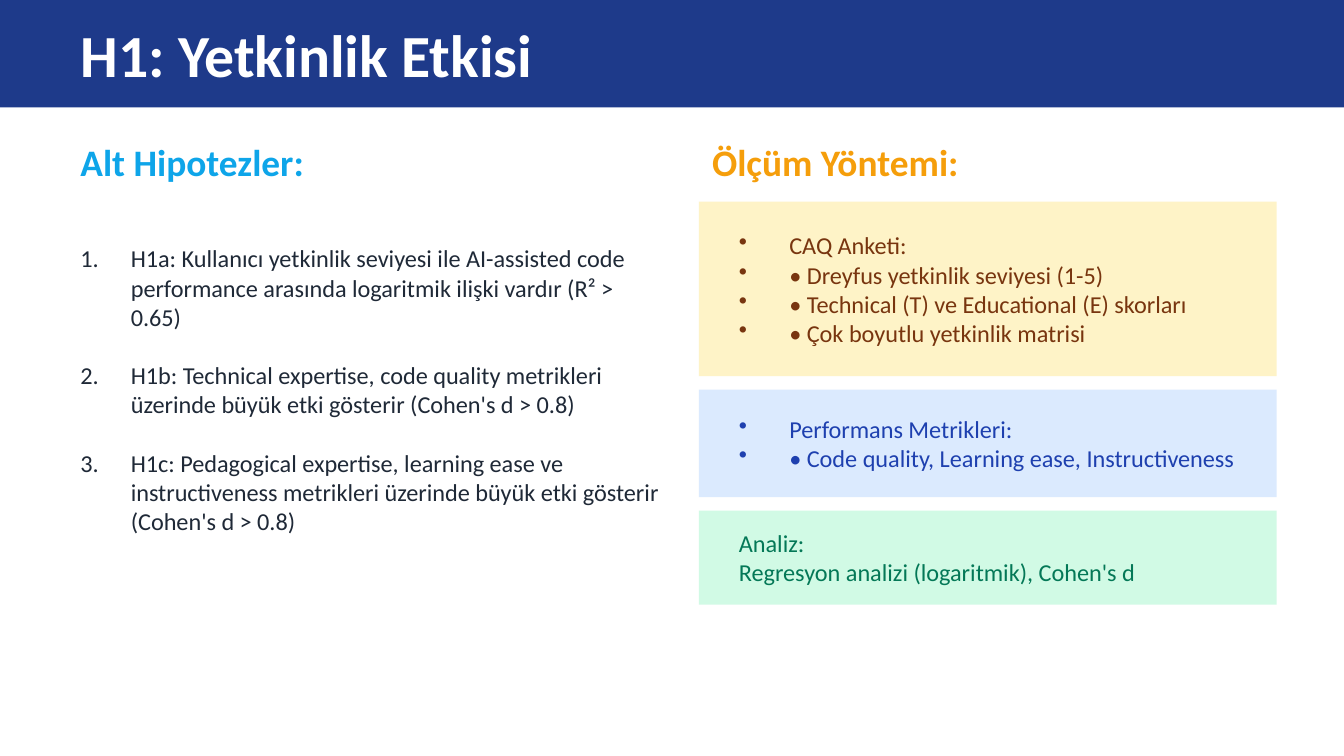
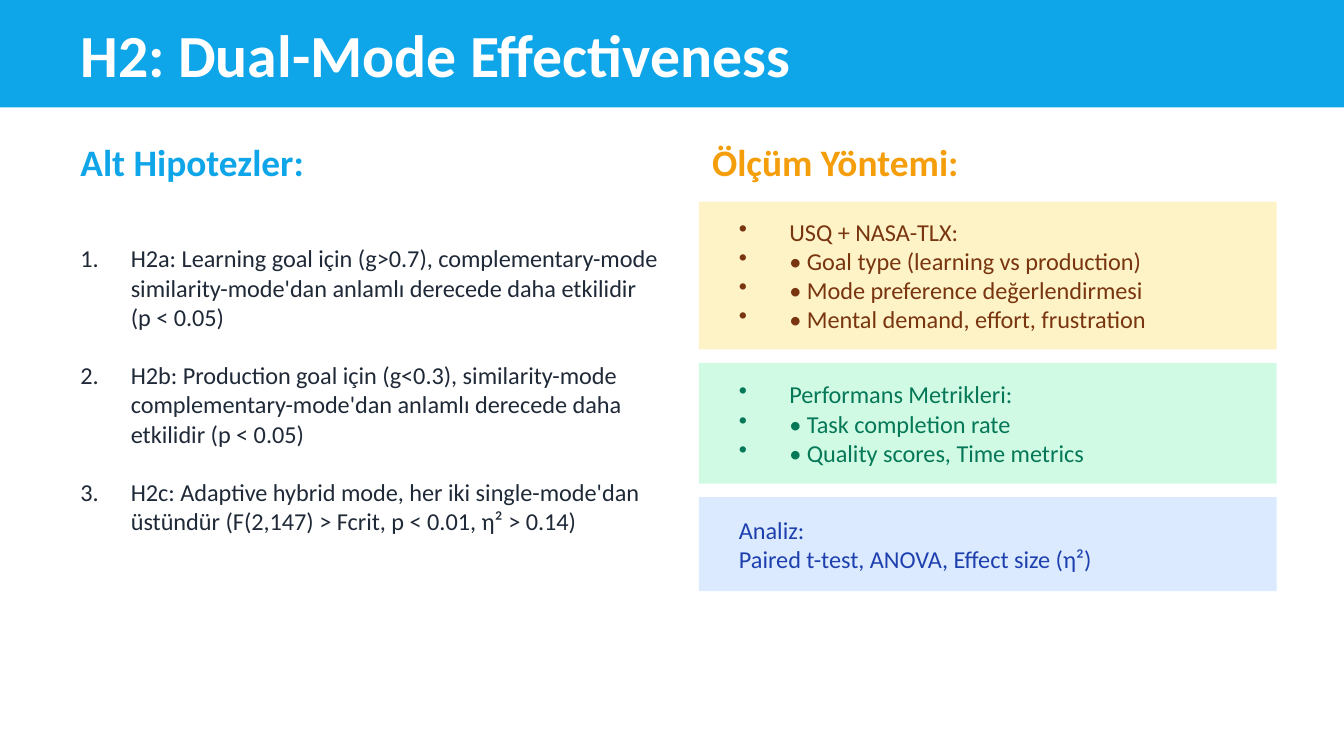
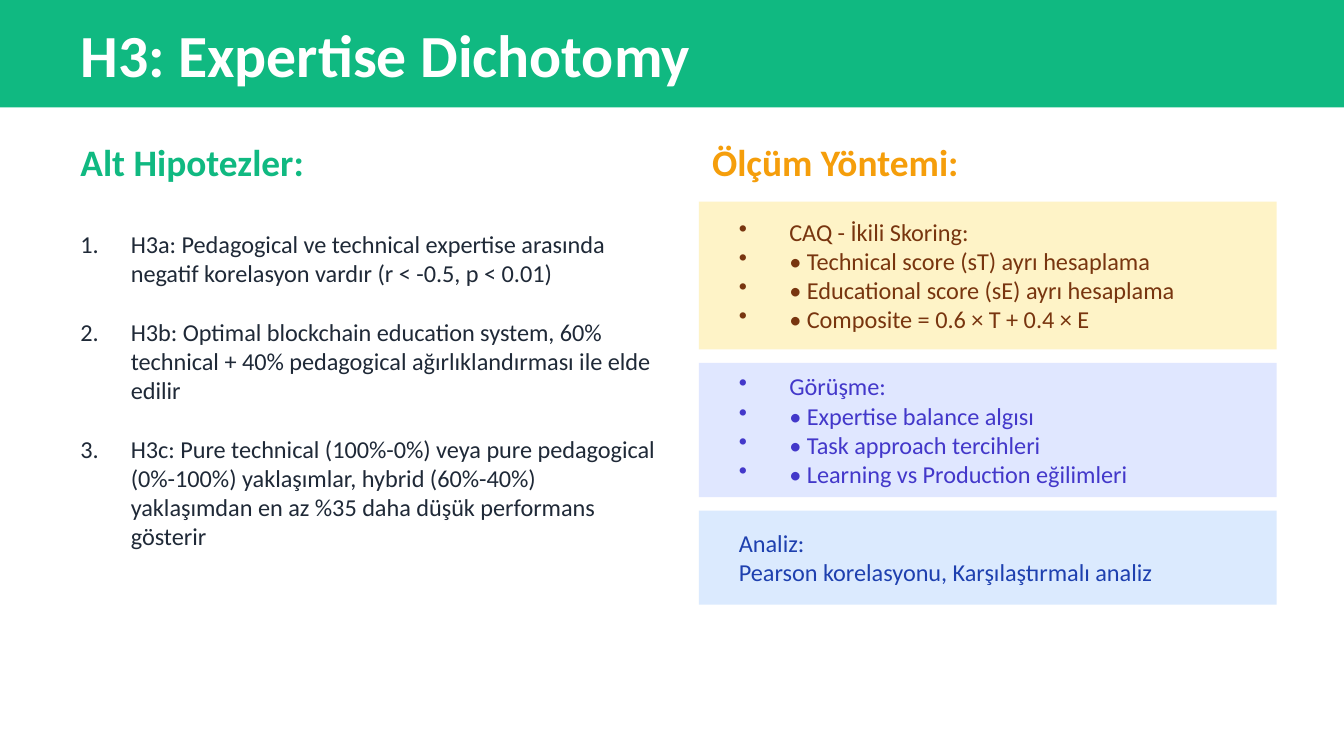
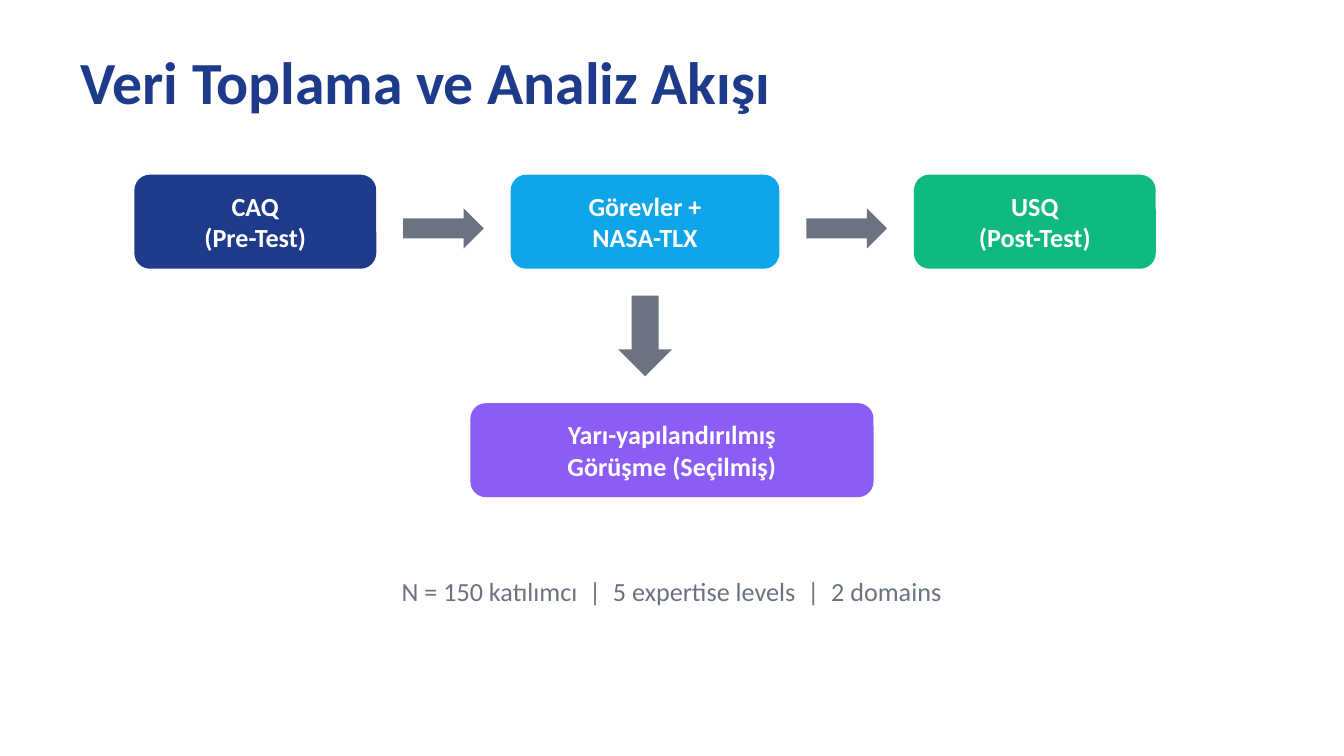
import pptx
import pptx.util
import pptx.dml.color
import pptx.enum.shapes
import pptx.enum.text
import pptx.oxml.ns
import lxml.etree

SHAPE = pptx.enum.shapes.MSO_SHAPE
ALIGN = pptx.enum.text.PP_ALIGN
FONT = "Calibri"
COLORS = {
    "navy": "1E3A8A", "sky": "0EA5E9", "green": "10B981", "violet": "8B5CF6",
    "orange": "F59E0B", "ink": "1F2937", "gray": "6B7280", "white": "FFFFFF",
}
CARD_COLORS = {
    "amber": ("FEF3C7", "78350F"), "blue": ("DBEAFE", "1E40AF"),
    "mint": ("D1FAE5", "047857"), "indigo": ("E0E7FF", "4338CA"),
}
LEFT_HEADING, RIGHT_HEADING = "Alt Hipotezler:", "Ölçüm Yöntemi:"

HYPOTHESES = [
    {
        "title": "H1: Yetkinlik Etkisi", "band": "navy", "accent": "sky",
        "items": [
            "H1a: Kullanıcı yetkinlik seviyesi ile AI-assisted code performance arasında logaritmik ilişki vardır (R² > 0.65)",
            "H1b: Technical expertise, code quality metrikleri üzerinde büyük etki gösterir (Cohen's d > 0.8)",
            "H1c: Pedagogical expertise, learning ease ve instructiveness metrikleri üzerinde büyük etki gösterir (Cohen's d > 0.8)",
        ],
        "cards": [
            ("amber", 13, True, ["CAQ Anketi:", "• Dreyfus yetkinlik seviyesi (1-5)",
                                 "• Technical (T) ve Educational (E) skorları",
                                 "• Çok boyutlu yetkinlik matrisi"]),
            ("blue", 8, True, ["Performans Metrikleri:",
                               "• Code quality, Learning ease, Instructiveness"]),
            ("mint", 7, False, ["Analiz:", "Regresyon analizi (logaritmik), Cohen's d"]),
        ],
    },
    {
        "title": "H2: Dual-Mode Effectiveness", "band": "sky", "accent": "sky",
        "items": [
            "H2a: Learning goal için (g>0.7), complementary-mode similarity-mode'dan anlamlı derecede daha etkilidir (p < 0.05)",
            "H2b: Production goal için (g<0.3), similarity-mode complementary-mode'dan anlamlı derecede daha etkilidir (p < 0.05)",
            "H2c: Adaptive hybrid mode, her iki single-mode'dan üstündür (F(2,147) > Fcrit, p < 0.01, η² > 0.14)",
        ],
        "cards": [
            ("amber", 11, True, ["USQ + NASA-TLX:", "• Goal type (learning vs production)",
                                 "• Mode preference değerlendirmesi",
                                 "• Mental demand, effort, frustration"]),
            ("mint", 9, True, ["Performans Metrikleri:", "• Task completion rate",
                               "• Quality scores, Time metrics"]),
            ("blue", 7, False, ["Analiz:", "Paired t-test, ANOVA, Effect size (η²)"]),
        ],
    },
    {
        "title": "H3: Expertise Dichotomy", "band": "green", "accent": "green",
        "items": [
            "H3a: Pedagogical ve technical expertise arasında negatif korelasyon vardır (r < -0.5, p < 0.01)",
            "H3b: Optimal blockchain education system, 60% technical + 40% pedagogical ağırlıklandırması ile elde edilir",
            "H3c: Pure technical (100%-0%) veya pure pedagogical (0%-100%) yaklaşımlar, hybrid (60%-40%) yaklaşımdan en az %35 daha düşük performans gösterir",
        ],
        "cards": [
            ("amber", 11, True, ["CAQ - İkili Skoring:", "• Technical score (sT) ayrı hesaplama",
                                 "• Educational score (sE) ayrı hesaplama",
                                 "• Composite = 0.6 × T + 0.4 × E"]),
            ("indigo", 10, True, ["Görüşme:", "• Expertise balance algısı",
                                  "• Task approach tercihleri",
                                  "• Learning vs Production eğilimleri"]),
            ("blue", 7, False, ["Analiz:", "Pearson korelasyonu, Karşılaştırmalı analiz"]),
        ],
    },
]

FLOW_TITLE = "Veri Toplama ve Analiz Akışı"
FLOW_STEPS = [
    ("navy", 18, ["CAQ", "(Pre-Test)"]),
    ("sky", 20, ["Görevler +", "NASA-TLX"]),
    ("green", 18, ["USQ", "(Post-Test)"]),
]
INTERVIEW = ("violet", 30, ["Yarı-yapılandırılmış", "Görüşme (Seçilmiş)"])
SAMPLE = "N = 150 katılımcı  |  5 expertise levels  |  2 domains"

COLUMNS = 100
MARGIN = 5
RIGHT, RIGHT_W = 52, 43
STEP_TOP, STEP_H, STEP_GAP, ARROW = 13, 7, 2, 6

prs = pptx.Presentation()
prs.slide_width = pptx.util.Inches(10)
prs.slide_height = prs.slide_width * 9 // 16


def grid(*cells):
    return [round(c * prs.slide_width / COLUMNS) for c in cells]


def rgb(color):
    return pptx.dml.color.RGBColor.from_string(COLORS.get(color, color))


def add_slide():
    s = prs.slides.add_slide(prs.slide_layouts[6])
    s.background.fill.solid()
    s.background.fill.fore_color.rgb = rgb("white")
    return s


def add_block(s, kind, color, *box):
    sp = s.shapes.add_shape(kind, *grid(*box))
    sp.shadow.inherit = False
    sp.fill.solid()
    sp.fill.fore_color.rgb = rgb(color)
    sp.line.fill.background()


def set_bullet(p, tag, **attrs):
    ppr = p._p.get_or_add_pPr()
    indent = pptx.util.Pt(27)
    ppr.set("marL", str(indent))
    ppr.set("indent", str(-indent))
    lxml.etree.SubElement(ppr, pptx.oxml.ns.qn(tag), **attrs)


def add_text(s, box, lines, size, color, bold=False, align=ALIGN.LEFT, bullet=None, gap=0):
    tf = s.shapes.add_textbox(*grid(*box)).text_frame
    tf.word_wrap = True
    tf.vertical_anchor = pptx.enum.text.MSO_ANCHOR.MIDDLE
    for i, line in enumerate(lines):
        p = tf.paragraphs[0] if i == 0 else tf.add_paragraph()
        p.alignment = align
        if i and gap:
            p.space_before = pptx.util.Pt(gap)
        if bullet == "number":
            set_bullet(p, "a:buAutoNum", type="arabicPeriod")
        elif bullet == "dot":
            set_bullet(p, "a:buChar", char="•")
        r = p.add_run()
        r.text = line
        r.font.name, r.font.size, r.font.bold = FONT, pptx.util.Pt(size), bold
        r.font.color.rgb = rgb(color)


def add_title(s, text, top, height, color):
    add_text(s, (MARGIN, top, COLUMNS - 2 * MARGIN, height), [text], 32, color, True)


def add_card(s, top, height, palette, bulleted, lines):
    fill, ink = CARD_COLORS[palette]
    add_block(s, SHAPE.RECTANGLE, fill, RIGHT, top, RIGHT_W, height)
    add_text(s, (RIGHT + 2, top + 1, RIGHT_W - 3, height - 2), lines, 13, ink,
             bullet="dot" if bulleted else None)


def add_hypothesis(data):
    s = add_slide()
    add_block(s, SHAPE.RECTANGLE, data["band"], 0, 0, COLUMNS, 8)
    add_title(s, data["title"], 1.5, 5, "white")
    add_text(s, (MARGIN, 10, 45, 4), [LEFT_HEADING], 20, data["accent"], True)
    add_text(s, (MARGIN, 15, 45, 28), data["items"], 13, "ink", bullet="number", gap=15.8)
    add_text(s, (RIGHT, 10, RIGHT_W, 4), [RIGHT_HEADING], 20, "orange", True)
    top = 15
    for palette, height, bulleted, lines in data["cards"]:
        add_card(s, top, height, palette, bulleted, lines)
        top += height + 1


def add_step(s, left, top, color, width, lines):
    add_block(s, SHAPE.ROUNDED_RECTANGLE, color, left, top, width, STEP_H)
    add_text(s, (left, top + 1, width, STEP_H - 2), lines, 14, "white", True, ALIGN.CENTER)


def add_flow():
    s = add_slide()
    add_title(s, FLOW_TITLE, 3, 6, "navy")
    left, centers = 10, []
    for i, (color, width, lines) in enumerate(FLOW_STEPS):
        if i:
            add_block(s, SHAPE.RIGHT_ARROW, "gray", left, STEP_TOP + 2.5, ARROW, 3)
            left += ARROW + STEP_GAP
        add_step(s, left, STEP_TOP, color, width, lines)
        centers.append(left + width / 2)
        left += width + STEP_GAP
    arrow_top = STEP_TOP + STEP_H + STEP_GAP
    add_block(s, SHAPE.DOWN_ARROW, "gray", centers[1] - 2, arrow_top, 4, ARROW)
    add_step(s, (COLUMNS - INTERVIEW[1]) / 2, arrow_top + ARROW + STEP_GAP, *INTERVIEW)
    add_text(s, (10, 42, 80, 4), [SAMPLE], 14, "gray", align=ALIGN.CENTER)


def main():
    for data in HYPOTHESES:
        add_hypothesis(data)
    add_flow()
    prs.save("out.pptx")


if __name__ == "__main__":
    main()
